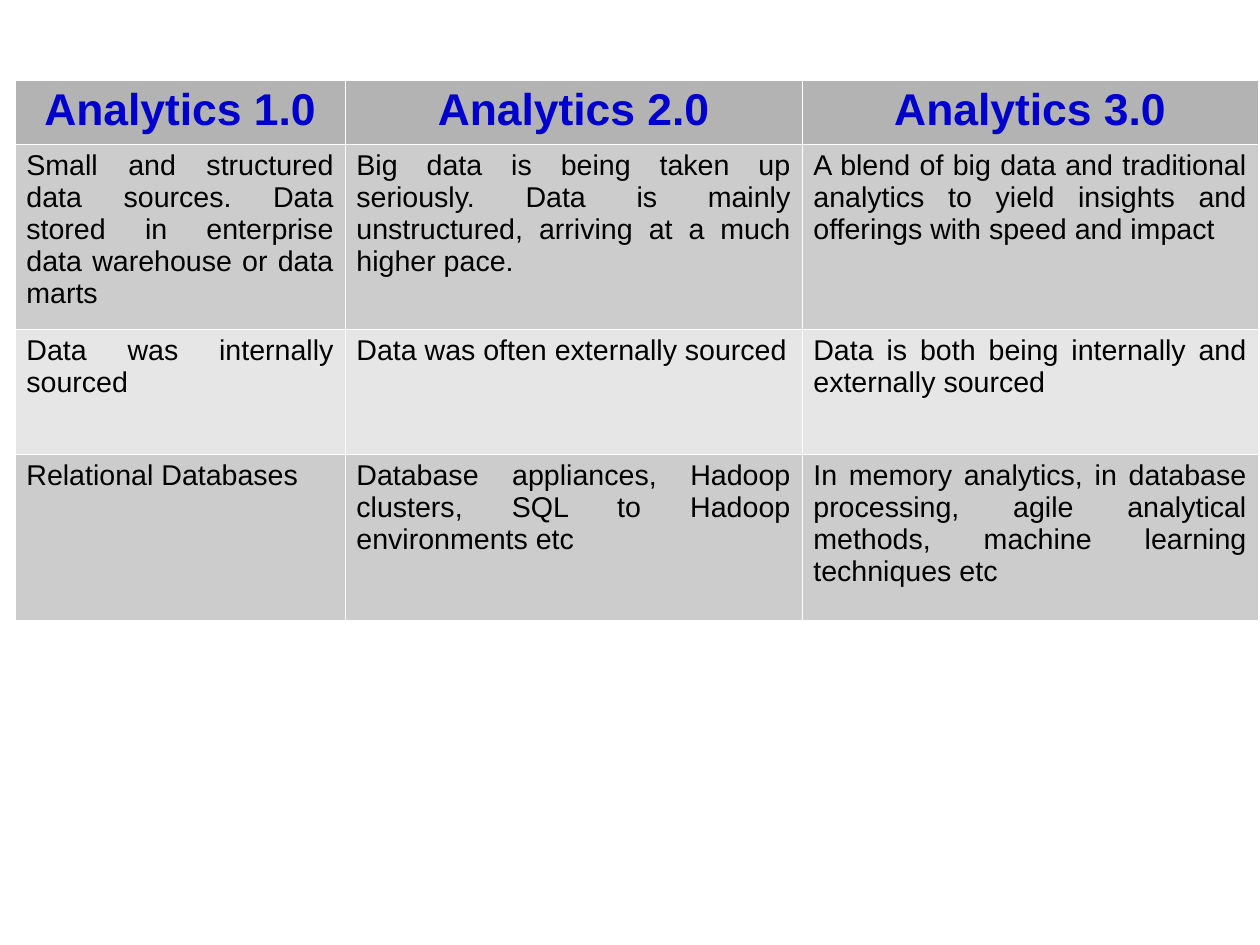
from lxml import etree
from pptx import Presentation
from pptx import util as u
from pptx.dml.color import RGBColor
from pptx.enum import text
from pptx.oxml import ns

PX = 8000
BLUE = RGBColor(0x00, 0x00, 0xCC)
BLACK = RGBColor(0x00, 0x00, 0x00)
WHITE = RGBColor(0xFF, 0xFF, 0xFF)
HEADER_GREY = RGBColor(0xB3, 0xB3, 0xB3)
BAND_GREYS = [RGBColor(0xCC, 0xCC, 0xCC), RGBColor(0xE6, 0xE6, 0xE6)]

COL_WIDTHS = [330, 457, 456]
ROW_HEIGHTS = [64, 185, 125, 166]
ROWS = [
    ["Analytics 1.0", "Analytics 2.0", "Analytics 3.0"],
    [
        "Small and structured data sources. Data stored in enterprise data warehouse or data marts",
        "Big data is being taken up seriously. Data is mainly unstructured, arriving at a much higher pace. ",
        "A blend of big data and traditional analytics to yield insights and offerings with speed and impact",
    ],
    [
        "Data was internally sourced",
        "Data was often externally sourced",
        "Data is both being internally and externally sourced",
    ],
    [
        "Relational Databases",
        "Database appliances, Hadoop clusters, SQL to Hadoop environments etc",
        "In memory analytics, in database processing, agile analytical methods, machine learning techniques etc",
    ],
]


class Deck:
    font = "Arial"
    border_width = u.Pt(0.06)

    def __init__(self, width, height):
        self.prs = Presentation()
        self.prs.slide_width = width * PX
        self.prs.slide_height = height * PX
        self.s = self.prs.slides.add_slide(self.prs.slide_layouts[6])

    def table(self, left, top, widths, heights, rows):
        frame = self.s.shapes.add_table(
            len(rows), len(widths), left * PX, top * PX,
            sum(widths) * PX, sum(heights) * PX)
        table = frame.table
        for column, width in zip(table.columns, widths):
            column.width = width * PX
        for i, (row, height) in enumerate(zip(rows, heights)):
            table.rows[i].height = height * PX
            for j, content in enumerate(row):
                self.cell(table.cell(i, j), content, i)

    def cell(self, cell, content, row):
        header = row == 0
        self.borders(cell)
        cell.fill.solid()
        cell.fill.fore_color.rgb = HEADER_GREY if header else BAND_GREYS[(row - 1) % 2]
        p = cell.text_frame.paragraphs[0]
        p.alignment = text.PP_ALIGN.CENTER if header else text.PP_ALIGN.JUSTIFY
        r = p.add_run()
        r.text = content
        r.font.name = self.font
        r.font.size = u.Pt(28 if header else 18)
        r.font.bold = header
        r.font.color.rgb = BLUE if header else BLACK

    def borders(self, cell):
        props = cell._tc.get_or_add_tcPr()
        for side in "LRTB":
            line = etree.SubElement(props, ns.qn(f"a:ln{side}"), w=str(self.border_width))
            fill = etree.SubElement(line, ns.qn("a:solidFill"))
            etree.SubElement(fill, ns.qn("a:srgbClr"), val=str(WHITE))

    def save(self):
        self.prs.save("out.pptx")


def main():
    deck = Deck(1260, 945)
    deck.table(15, 80, COL_WIDTHS, ROW_HEIGHTS, ROWS)
    deck.save()


if __name__ == "__main__":
    main()
